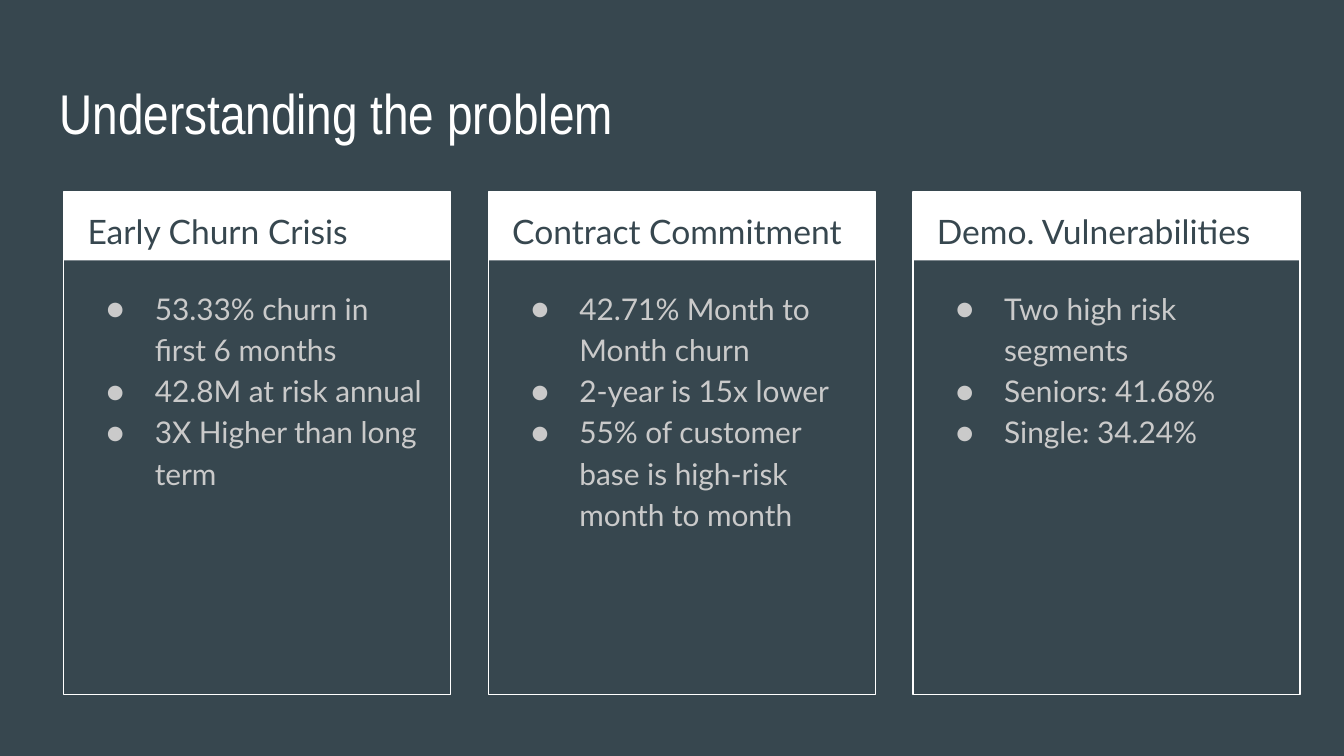
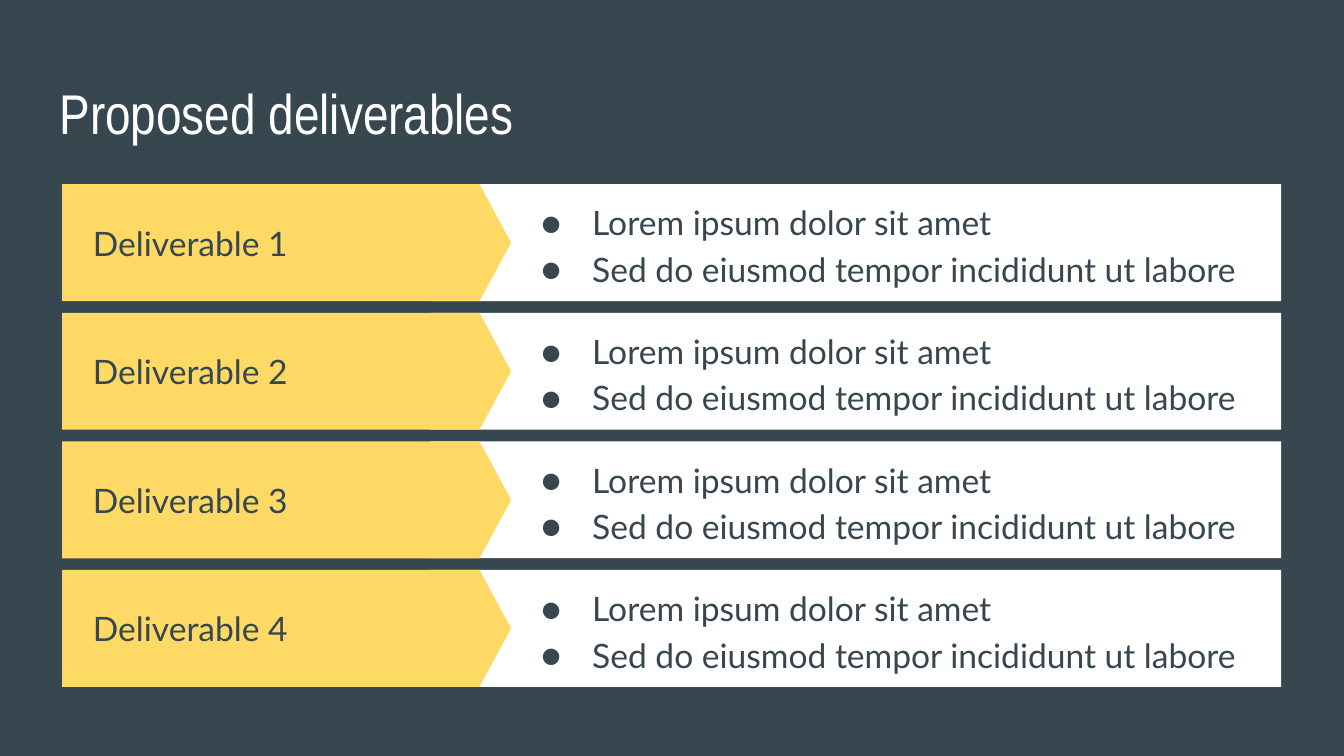
from collections import namedtuple

from lxml import etree
from pptx import Presentation
from pptx import util as u
from pptx.dml.color import RGBColor
from pptx.enum import shapes, text
from pptx.oxml import ns

# Palette and fonts
SLATE = RGBColor(0x37, 0x47, 0x4F)
WHITE = RGBColor(0xFF, 0xFF, 0xFF)
SILVER = RGBColor(0xCA, 0xCA, 0xCA)
YELLOW = RGBColor(0xFF, 0xD9, 0x66)
TITLE_FONT = "Arial Narrow"
BODY_FONT = "Lato"

# A 16:9 slide on a grid of 100 columns; rows are as tall as columns are wide
SLIDE_WIDTH = u.Inches(10)
SLIDE_HEIGHT = u.Emu(SLIDE_WIDTH * 9 // 16)
CELL = SLIDE_WIDTH / 100
INSET = 1

Box = namedtuple("Box", "left top width height")
TITLE_BOX = Box(3.45, 4.86, 93.2, 6.3)
CARDS_BOX = Box(4.73, 14.28, 92, 37.4)
DELIVERABLES_BOX = Box(4.63, 13.71, 90.7, 37.4)

PROBLEMS = [
    ("Early Churn Crisis", ["53.33% churn in first 6 months", "42.8M at risk annual",
                            "3X Higher than long term"]),
    ("Contract Commitment", ["42.71% Month to Month churn", "2-year is 15x lower",
                             "55% of customer base is high-risk month to month"]),
    ("Demo. Vulnerabilities", ["Two high risk segments", "Seniors: 41.68%",
                               "Single: 34.24%"]),
]
DELIVERABLE_COUNT = 4
DELIVERABLE_POINTS = ["Lorem ipsum dolor sit amet",
                      "Sed do eiusmod tempor incididunt ut labore"]


def grid(value):
    return u.Emu(round(value * CELL))


def spread(start, length, size, count):
    """Starts of equal parts that fill a length with equal gaps."""
    pitch = (length - size) / (count - 1)
    return [start + index * pitch for index in range(count)]


def add_block(parent, kind, box, fill=None, line=None):
    shape = parent.shapes.add_shape(kind, *map(grid, box))
    shape.shadow.inherit = False
    if fill is None:
        shape.fill.background()
    else:
        shape.fill.solid()
        shape.fill.fore_color.rgb = fill
    if line is None:
        shape.line.fill.background()
    else:
        shape.line.color.rgb = line
        shape.line.width = u.Pt(0.75)
    return shape


def add_bullet(paragraph, color, hang):
    properties = paragraph._p.get_or_add_pPr()
    properties.set("marL", str(u.Inches(0.5)))
    properties.set("indent", str(-u.Inches(hang)))
    bullet_color = etree.SubElement(properties, ns.qn("a:buClr"))
    etree.SubElement(bullet_color, ns.qn("a:srgbClr"), val=str(color))
    etree.SubElement(properties, ns.qn("a:buFont"), typeface=BODY_FONT)
    etree.SubElement(properties, ns.qn("a:buChar"), char="●")


def add_text(slide, box, lines, size, color, font=BODY_FONT, spacing=None,
             anchor=text.MSO_ANCHOR.TOP, hang=None):
    """A text box with one paragraph a line, bulleted when hang is given."""
    text_frame = slide.shapes.add_textbox(*map(grid, box)).text_frame
    text_frame.word_wrap = True
    text_frame.vertical_anchor = anchor
    text_frame.margin_left = text_frame.margin_right = grid(INSET)
    text_frame.margin_top = text_frame.margin_bottom = grid(INSET)
    text_frame.text = "\n".join(lines)
    for paragraph in text_frame.paragraphs:
        paragraph.line_spacing = spacing
        if hang is not None:
            add_bullet(paragraph, color, hang)
        for run in paragraph.runs:
            run.font.name = font
            run.font.size = u.Pt(size)
            run.font.color.rgb = color


def add_titled_slide(presentation, title):
    slide = presentation.slides.add_slide(presentation.slide_layouts[6])
    slide.background.fill.solid()
    slide.background.fill.fore_color.rgb = SLATE
    add_text(slide, TITLE_BOX, [title], 30, WHITE, TITLE_FONT)
    return slide


def add_card(slide, box, heading, points):
    # White heading band inside an outlined frame
    frame = slide.shapes.add_group_shape()
    add_block(frame, shapes.MSO_SHAPE.RECTANGLE, box._replace(height=5.1), fill=WHITE)
    add_block(frame, shapes.MSO_SHAPE.RECTANGLE, box, line=WHITE)

    # Heading and bullet list
    left = box.left + 0.8
    add_text(slide, Box(left, box.top, 27.3, 5), [heading], 18, SLATE, spacing=1.15)
    add_text(slide, Box(left, box.top + 5.95, 27.1, 30.6), points, 16, SILVER,
             spacing=1.15, hang=0.36)


def add_deliverable(slide, box, label, points):
    # Yellow pointer over a white band
    row = slide.shapes.add_group_shape()
    band_offset = 27.4
    band = box._replace(left=box.left + band_offset, width=box.width - band_offset)
    add_block(row, shapes.MSO_SHAPE.RECTANGLE, band, fill=WHITE)
    pointer = add_block(row, shapes.MSO_SHAPE.PENTAGON, box._replace(width=33.4),
                        fill=YELLOW)
    pointer.adjustments[0] = 0.27

    # Label and bullet list
    middle = text.MSO_ANCHOR.MIDDLE
    add_text(slide, box._replace(left=box.left + 1.3, width=26.5), [label], 18, SLATE,
             anchor=middle)
    add_text(slide, box._replace(left=box.left + 33.45, width=55.9), points, 18, SLATE,
             spacing=1.15, anchor=middle, hang=0.38)


def build_problem_slide(presentation, box):
    slide = add_titled_slide(presentation, "Understanding the problem")
    width = 28.8
    lefts = spread(box.left, box.width, width, len(PROBLEMS))
    for left, (heading, points) in zip(lefts, PROBLEMS):
        add_card(slide, box._replace(left=left, width=width), heading, points)


def build_deliverables_slide(presentation, box):
    slide = add_titled_slide(presentation, "Proposed deliverables")
    height = 8.7
    tops = spread(box.top, box.height, height, DELIVERABLE_COUNT)
    for number, top in enumerate(tops, start=1):
        add_deliverable(slide, box._replace(top=top, height=height),
                        f"Deliverable {number}", DELIVERABLE_POINTS)


def main():
    presentation = Presentation()
    presentation.slide_width = SLIDE_WIDTH
    presentation.slide_height = SLIDE_HEIGHT
    build_problem_slide(presentation, CARDS_BOX)
    build_deliverables_slide(presentation, DELIVERABLES_BOX)
    presentation.save("out.pptx")


if __name__ == "__main__":
    main()
